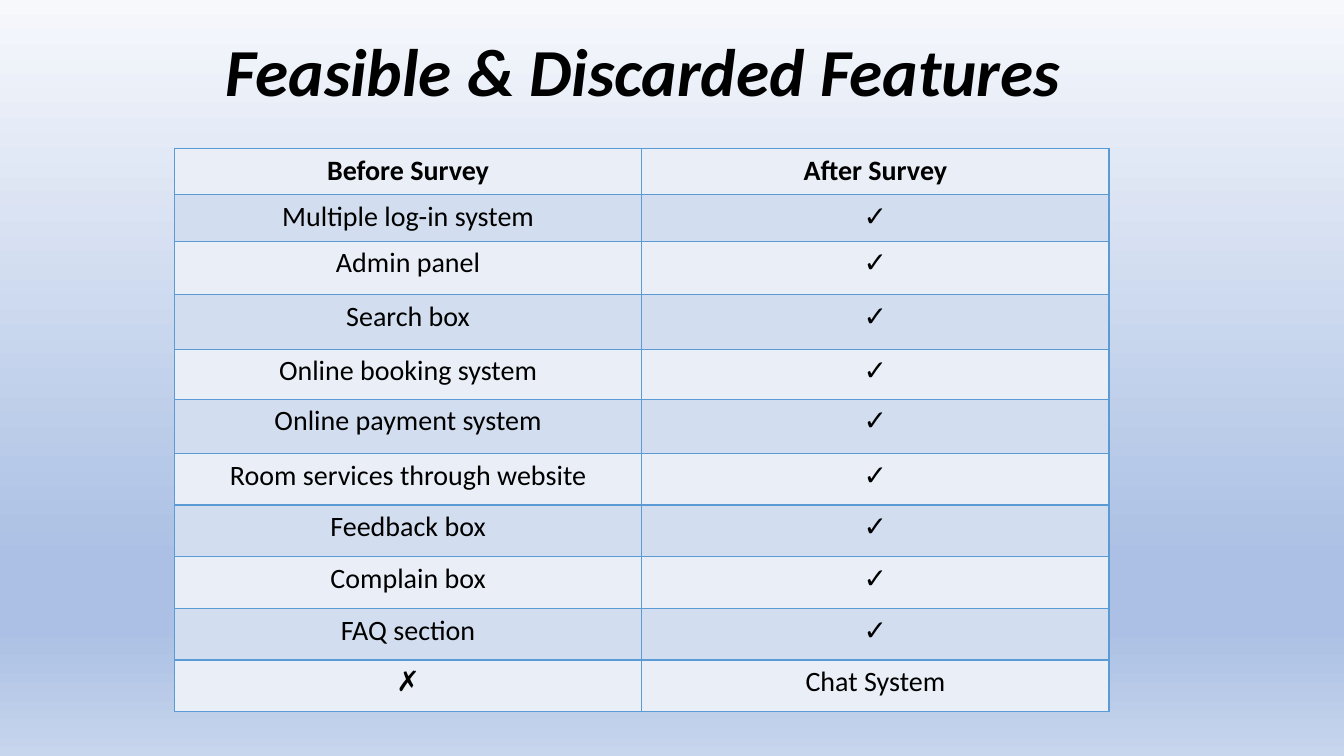
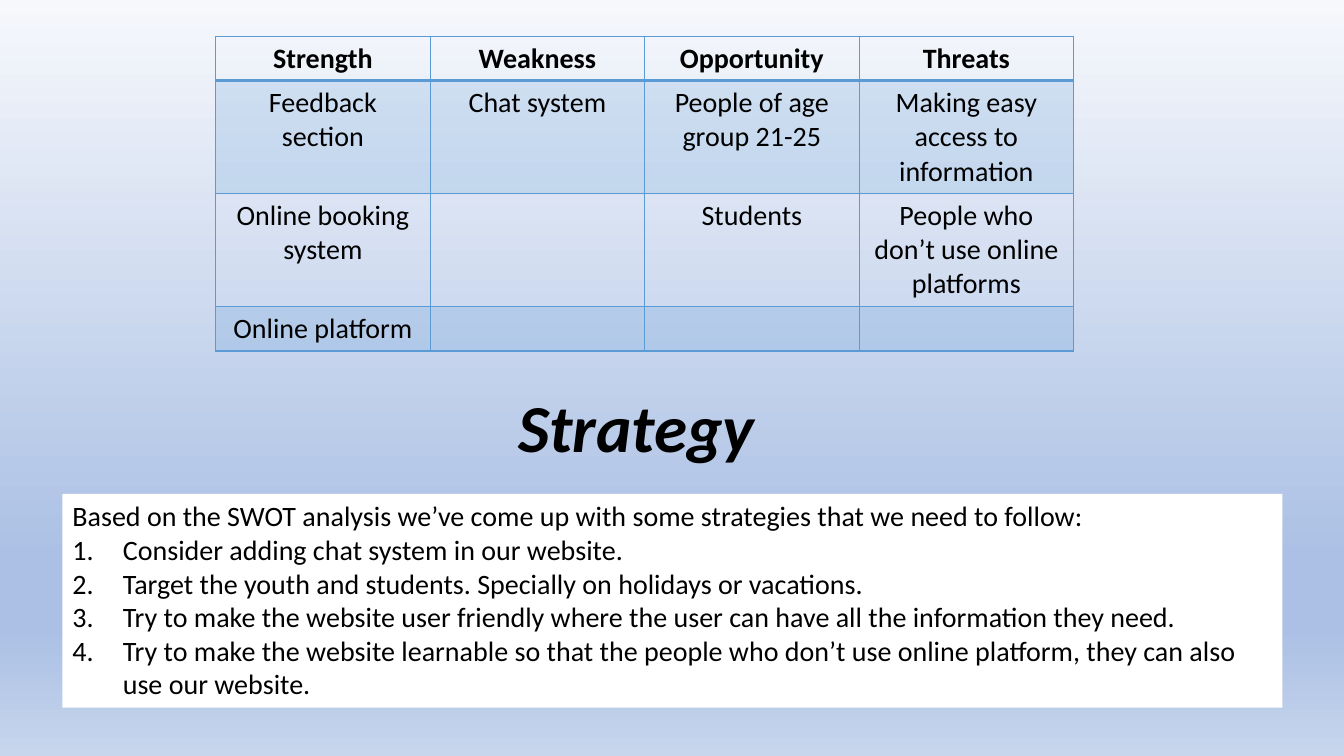
from lxml import etree
from pptx import Presentation, util as u
from pptx.dml.color import RGBColor
from pptx.enum import shapes, text
from pptx.oxml import ns, parse_xml

BLACK = RGBColor(0x00, 0x00, 0x00)
WHITE = RGBColor(0xFF, 0xFF, 0xFF)
BLUE = RGBColor(0x5B, 0x9B, 0xD5)
PALE = RGBColor(0xEA, 0xEF, 0xF7)
MIST = RGBColor(0xD2, 0xDE, 0xEF)
SKY = [(0, "F6F8FC"), (74, "ABC0E4"), (83, "ABC0E4"), (100, "C7D5ED")]
FONT = "Calibri"
TITLE_ONLY = 5

FEATURES = ["Multiple log-in system", "Admin panel", "Search box",
            "Online booking system", "Online payment system",
            "Room services through website", "Feedback box",
            "Complain box", "FAQ section"]
SWOT = [
    ["Strength", "Weakness", "Opportunity", "Threats"],
    ["Feedback section", "Chat system", "People of age group 21-25",
     "Making easy access to information"],
    ["Online booking system", "", "Students",
     "People who don’t use online platforms"],
    ["Online platform", "", "", ""],
]
INTRO = ("Based on the SWOT analysis we’ve come up with some strategies "
         "that we need to follow:")
STRATEGIES = [
    "Consider adding chat system in our website.",
    "Target the youth and students. Specially on holidays or vacations.",
    "Try to make the website user friendly where the user can have all "
    "the information they need.",
    "Try to make the website learnable so that the people who don’t use "
    "online platform, they can also use our website.",
]


def write(p, words, size=20, bold=False, italic=False,
          align=text.PP_ALIGN.LEFT, numbered=False):
    p.alignment = align
    r = p.add_run()
    r.text = words
    r.font.name, r.font.size = FONT, u.Pt(size)
    r.font.bold, r.font.italic = bold, italic
    r.font.color.rgb = BLACK
    if numbered:
        pPr = p._p.get_or_add_pPr()
        pPr.set("marL", str(u.Inches(0.5)))
        pPr.set("indent", str(u.Inches(-0.5)))
        etree.SubElement(pPr, ns.qn("a:buAutoNum"), type="arabicPeriod")


def border(cell, **widths):
    tcPr = cell._tc.get_or_add_tcPr()
    for side in "LRTB":
        width = u.Pt(widths.get(side, 1))
        ln = etree.SubElement(tcPr, ns.qn(f"a:ln{side}"), w=str(width))
        fill = etree.SubElement(ln, ns.qn("a:solidFill"))
        etree.SubElement(fill, ns.qn("a:srgbClr"), val=str(BLUE))


def paint(cell, color, alpha=None):
    if color is None:
        cell.fill.background()
        return
    cell.fill.solid()
    cell.fill.fore_color.rgb = color
    if alpha:
        clr = cell._tc.tcPr.find(ns.qn("a:solidFill"))[0]
        etree.SubElement(clr, ns.qn("a:alpha"), val=str(alpha * 1000))


class Deck:
    def __init__(self):
        self.prs = Presentation()
        self.prs.slide_width = u.Inches(13.33)
        self.prs.slide_height = u.Inches(7.5)
        self.s = None
        self.sky()

    def x(self, percent):
        return round(self.prs.slide_width * percent / 100)

    def y(self, percent):
        return round(self.prs.slide_height * percent / 100)

    def box(self, left, top, width, height):
        return self.x(left), self.y(top), self.x(width), self.y(height)

    def sky(self):
        fill = self.prs.slide_master.background.fill
        fill.solid()
        bgPr = self.prs.slide_master._element.cSld.find(
            ".//" + ns.qn("p:bgPr"))
        stops = "".join(f'<a:gs pos="{pos * 1000}"><a:srgbClr val="{c}"/></a:gs>'
                        for pos, c in SKY)
        grad = parse_xml(f'<a:gradFill {ns.nsdecls("a")} rotWithShape="1">'
                         f'<a:gsLst>{stops}</a:gsLst>'
                         '<a:lin ang="5400000" scaled="0"/></a:gradFill>')
        bgPr.replace(bgPr.find(ns.qn("a:solidFill")), grad)

    def slide(self):
        layout = self.prs.slide_layouts[TITLE_ONLY]
        self.s = self.prs.slides.add_slide(layout)

    def title(self, words, left, top, width):
        sp = self.s.shapes.title
        sp.left, sp.top, sp.width, sp.height = self.box(left, top, width, 12.13)
        tf = sp.text_frame
        tf.word_wrap = True
        tf.auto_size = text.MSO_AUTO_SIZE.NONE
        tf.vertical_anchor = text.MSO_ANCHOR.TOP
        write(tf.paragraphs[0], words, size=48, bold=True, italic=True)

    def table(self, rows, heights, left, top, width, fills, alpha=None, rule=1):
        columns = len(rows[0])
        frame = self.s.shapes.add_table(
            len(rows), columns, *self.box(left, top, width, sum(heights)))
        tbl = frame.table
        tbl.first_row = tbl.horz_banding = False
        for column in tbl.columns:
            column.width = self.x(width / columns)
        for i, (row, height) in enumerate(zip(rows, heights)):
            tbl.rows[i].height = self.y(height)
            for j, words in enumerate(row):
                cell = tbl.cell(i, j)
                border(cell, B=rule if i == 0 else 1, T=rule if i == 1 else 1)
                paint(cell, fills[i % 2], alpha)
                if words:
                    write(cell.text_frame.paragraphs[0], words, bold=i == 0,
                          align=text.PP_ALIGN.CENTER)

    def panel(self, intro, items, left, top, width, height):
        sp = self.s.shapes.add_shape(shapes.MSO_SHAPE.RECTANGLE,
                                     *self.box(left, top, width, height))
        sp.shadow.inherit = False
        sp.fill.solid()
        sp.fill.fore_color.rgb = WHITE
        sp.line.fill.background()
        tf = sp.text_frame
        tf.word_wrap = True
        tf.vertical_anchor = text.MSO_ANCHOR.TOP
        write(tf.paragraphs[0], intro)
        for item in items:
            write(tf.add_paragraph(), item, numbered=True)


def main():
    deck = Deck()

    deck.slide()
    deck.title("Feasible & Discarded Features", 16.05, 3.2, 67.97)
    rows = [["Before Survey", "After Survey"],
            *([feature, "✓"] for feature in FEATURES),
            ["✗", "Chat System"]]
    heights = [6.13, 6.13, 7.1, 7.2, 6.6, 7.2, 6.8, 6.8, 6.93, 6.8, 6.8]
    deck.table(rows, heights, 12.98, 19.65, 69.54, fills=(PALE, MIST))

    deck.slide()
    deck.table(SWOT, [5.73, 14.67, 14.67, 5.73], 16.05, 4.8, 63.84,
               fills=(None, BLUE), alpha=20, rule=2)
    deck.title("Strategy", 37.81, 50.27, 21.98)
    deck.panel(INTRO, STRATEGIES, 4.65, 65.33, 90.77, 28.27)

    deck.prs.save("out.pptx")


if __name__ == "__main__":
    main()
